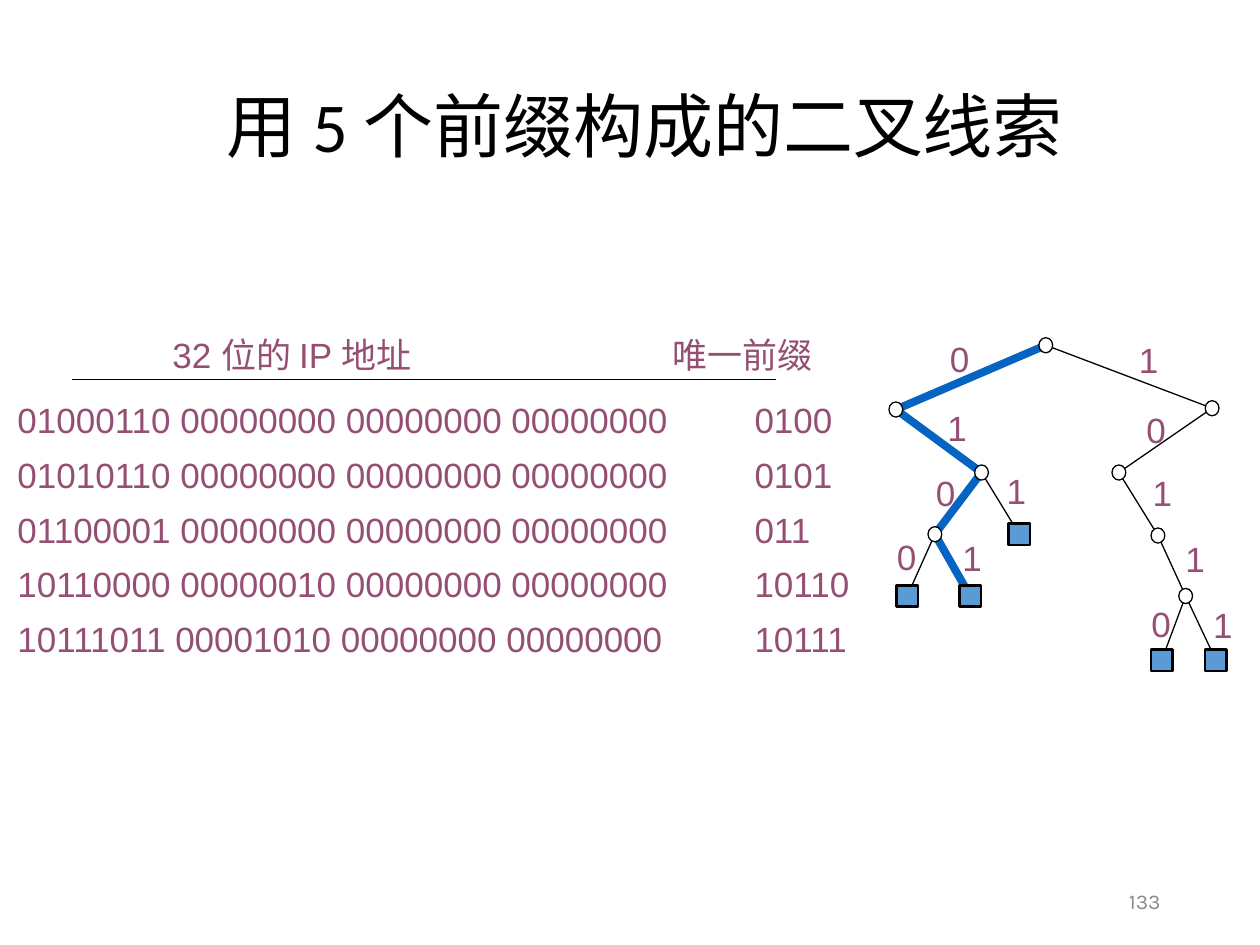
from lxml import etree
from pptx import Presentation
from pptx.dml.color import RGBColor
from pptx.enum.shapes import MSO_CONNECTOR, MSO_SHAPE
from pptx.enum.text import MSO_ANCHOR, PP_ALIGN
from pptx.oxml.ns import qn
from pptx.util import Inches, Pt

LINE, OVAL, RECT = MSO_CONNECTOR.STRAIGHT, MSO_SHAPE.OVAL, MSO_SHAPE.RECTANGLE
MID, TOP = MSO_ANCHOR.MIDDLE, MSO_ANCHOR.TOP
LEFT, CENTER, RIGHT = PP_ALIGN.LEFT, PP_ALIGN.CENTER, PP_ALIGN.RIGHT
BLACK, WHITE = RGBColor(0, 0, 0), RGBColor(255, 255, 255)
PLUM, BLUE = RGBColor(0x95, 0x4F, 0x72), RGBColor(0x05, 0x63, 0xC1)
SKY, GREY = RGBColor(0x5B, 0x9B, 0xD5), RGBColor(0x89, 0x89, 0x89)

TITLE = "用 5 个前缀构成的二叉线索 "
HEAD = ("32 位的 IP 地址", "唯一前缀")
ROWS = [
    ("01000110 00000000 00000000 00000000", "0100"),
    ("01010110 00000000 00000000 00000000", "0101"),
    ("01100001 00000000 00000000 00000000", "011"),
    ("10110000 00000010 00000000 00000000", "10110"),
    ("10111011 00001010 00000000 00000000", "10111"),
]
NODES = {
    "": (8.3, 2.74), "0": (7.11, 3.25), "1": (9.62, 3.24),
    "01": (7.79, 3.75), "10": (8.88, 3.75), "010": (7.42, 4.24),
    "101": (9.19, 4.25), "1011": (9.41, 4.73),
}
LEAVES = {
    "0100": (7.2, 4.73), "0101": (7.7, 4.73), "011": (8.09, 4.24),
    "10110": (9.22, 5.24), "10111": (9.65, 5.24),
}
MARKS = {
    "0": (7.44, 2.63), "1": (8.94, 2.64), "01": (7.42, 3.18),
    "10": (9, 3.19), "010": (7.33, 3.69), "011": (7.89, 3.68),
    "101": (9.05, 3.69), "0100": (7.02, 4.2), "0101": (7.54, 4.21),
    "1011": (9.31, 4.22), "10110": (9.04, 4.73), "10111": (9.53, 4.74),
}
CHAINS = [("10111", BLACK, 0.75), ("0101", BLUE, 4.5)]
TWIGS = ["0100", "011", "10110"]
SPOTS = {**NODES, **LEAVES}


def write(para, text, size, face, color):
    """Add one styled run to a paragraph."""
    run = para.add_run()
    run.text = text
    run.font.size, run.font.name = Pt(size), face
    run.font.color.rgb = color


def add_box(slide, x, y, w, h, wrap=False, anchor=TOP):
    """Add a text box and return its frame."""
    frame = slide.shapes.add_textbox(*map(Inches, (x, y, w, h))).text_frame
    frame.word_wrap, frame.vertical_anchor = wrap, anchor
    return frame


def add_line(slide, start, end):
    """Draw a thin black line between two points."""
    line = slide.shapes.add_connector(LINE, *map(Inches, (*start, *end)))
    line.line.color.rgb, line.line.width = BLACK, Pt(0.75)
    etree.SubElement(line._element.spPr, qn("a:effectLst"))


def add_chain(slide, key, color, width):
    """Draw the path from the root to one leaf."""
    pts = [tuple(map(Inches, SPOTS[key[:i]])) for i in range(len(key) + 1)]
    pen = slide.shapes.build_freeform(*pts[0])
    pen.add_line_segments(pts[1:], close=False)
    chain = pen.convert_to_shape()
    chain.shadow.inherit = False
    chain.fill.background()
    chain.line.color.rgb, chain.line.width = color, Pt(width)


def add_dots(slide, spots, kind, w, h, fill, width):
    """Draw one shape centred on each spot."""
    for x, y in spots:
        dot = slide.shapes.add_shape(
            kind, *map(Inches, (x - w / 2, y - h / 2, w, h)))
        dot.shadow.inherit = False
        dot.fill.solid()
        dot.fill.fore_color.rgb = fill
        dot.line.color.rgb, dot.line.width = BLACK, Pt(width)


def set_tabs(para, stops):
    """Give a paragraph left tab stops in inches."""
    tabs = etree.SubElement(para._p.get_or_add_pPr(), qn("a:tabLst"))
    for stop in stops:
        etree.SubElement(tabs, qn("a:tab"), pos=str(Inches(stop)), algn="l")


def add_list(slide):
    """Write the addresses and their prefixes in two columns."""
    frame = add_box(slide, 0.04, 2.6, 6.9, 3.04, wrap=True)
    para = frame.paragraphs[0]
    set_tabs(para, (1.23, 5.2))
    para.space_after = Pt(6)
    write(para, "\t" + "\t".join(HEAD), 20, "Arial", PLUM)
    for row in ROWS:
        para = frame.add_paragraph()
        set_tabs(para, (5.85,))
        para.line_spacing = 1.3
        write(para, "\t".join(row), 20, "Arial", PLUM)
    add_line(slide, (0.57, 3.01), (6.16, 3.01))


def add_tree(slide):
    """Draw the binary trie."""
    for chain in CHAINS:
        add_chain(slide, *chain)
    for key in TWIGS:
        add_line(slide, SPOTS[key[:-1]], SPOTS[key])
    for key, (x, y) in MARKS.items():
        para = add_box(slide, x, y, 0.36, 0.43).paragraphs[0]
        write(para, key[-1], 20, "Arial", PLUM)
    add_dots(slide, NODES.values(), OVAL, 0.11, 0.12, WHITE, 0.75)
    add_dots(slide, LEAVES.values(), RECT, 0.17, 0.17, SKY, 1.5)


def main():
    """Build the slide."""
    deck = Presentation()
    deck.slide_width, deck.slide_height = Inches(10), Inches(7.5)
    slide = deck.slides.add_slide(deck.slide_layouts[5])
    title = slide.shapes.title
    title.left, title.top = Inches(1.26), Inches(0.23)
    title.width, title.height = Inches(7.84), Inches(1.6)
    title.text_frame.vertical_anchor = MID
    para = title.text_frame.paragraphs[0]
    para.alignment, para.line_spacing = CENTER, 0.9
    write(para, TITLE, 40, "Calibri", BLACK)
    add_list(slide)
    add_tree(slide)
    frame = add_box(slide, 7.06, 6.95, 2.25, 0.4, wrap=True, anchor=MID)
    para = frame.paragraphs[0]
    para.alignment = RIGHT
    write(para, "133", 12, "Karla", GREY)
    deck.save("out.pptx")


if __name__ == "__main__":
    main()
